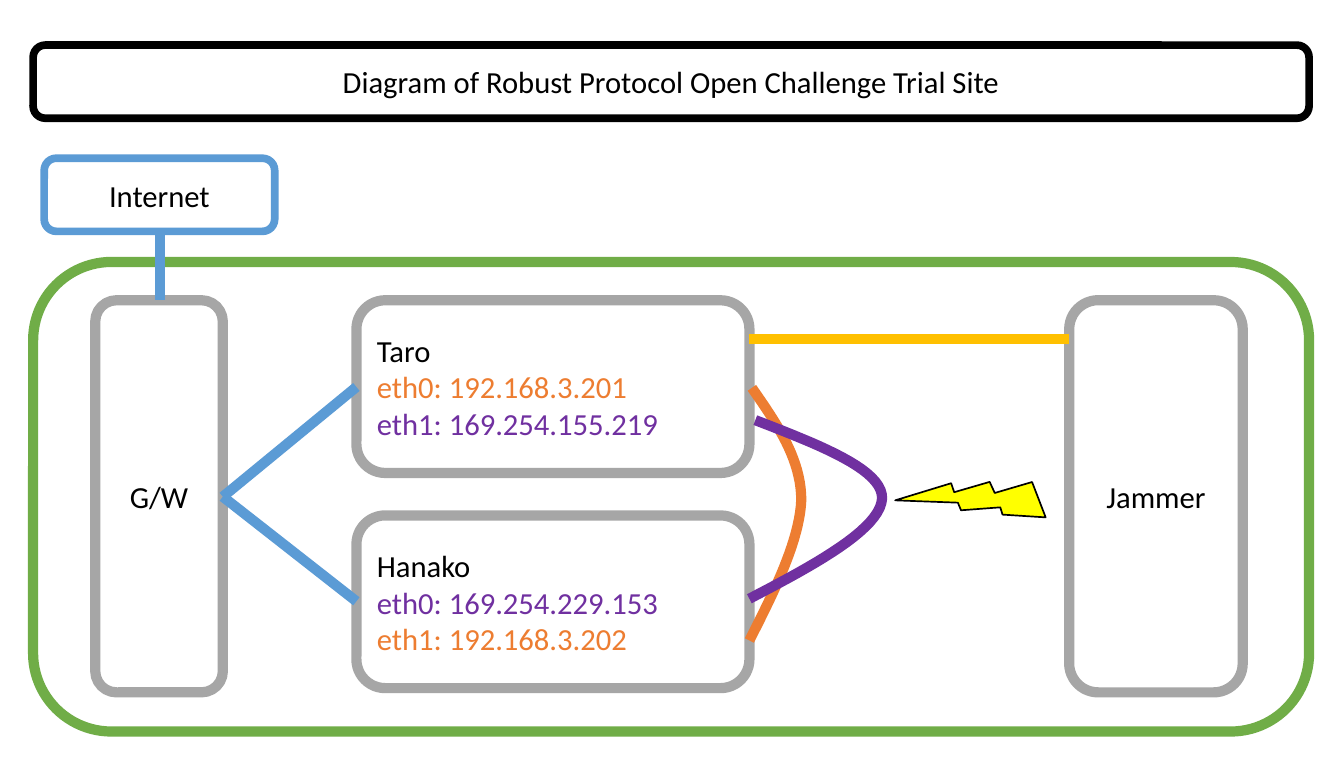
from lxml import etree
from pptx import Presentation
from pptx.dml.color import RGBColor
from pptx.enum.shapes import MSO_CONNECTOR, MSO_SHAPE
from pptx.enum.text import MSO_ANCHOR, PP_ALIGN
from pptx.oxml.ns import qn
from pptx.util import Pt

BLACK, WHITE, GRAY = "000000", "FFFFFF", "A6A6A6"
BLUE, GREEN, GOLD = "5B9BD5", "70AD47", "FFC000"
ORANGE, PURPLE, YELLOW = "ED7D31", "7030A0", "FFFF00"


def paint(shape, fill, line, width):
    """Set fill (None for no fill) and outline, and drop the shadow."""
    shape.shadow.inherit = False
    if fill:
        shape.fill.solid()
        shape.fill.fore_color.rgb = RGBColor.from_string(fill)
    else:
        shape.fill.background()
    shape.line.color.rgb = RGBColor.from_string(line)
    shape.line.width = Pt(width)


def bezier(a, b, c, d, steps=20):
    """Return points along a cubic curve, without its start."""
    curve = []
    for i in range(1, steps + 1):
        t = i / steps
        u = 1 - t
        curve.append(tuple(
            Pt(u**3 * p + 3 * u * u * t * q + 3 * u * t * t * r + t**3 * s)
            for p, q, r, s in zip(a, b, c, d)))
    return curve


deck = Presentation()
deck.slide_width, deck.slide_height = Pt(790), Pt(455)
slide = deck.slides.add_slide(deck.slide_layouts[6])
shapes = slide.shapes

# Boxes: place, fill, outline, width, alignment, text lines with colours
center, left = PP_ALIGN.CENTER, PP_ALIGN.LEFT
boxes = [
    ((19.5, 26.5, 750, 43), WHITE, BLACK, 4.5, center,
     [("Diagram of Robust Protocol Open Challenge Trial Site", BLACK)]),
    ((19.5, 154, 750, 276), None, GREEN, 6, center, []),
    ((56, 176.5, 75, 230.5), WHITE, GRAY, 6, center, [("G/W", BLACK)]),
    ((26, 93, 135.5, 43), WHITE, BLUE, 4.5, center, [("Internet", BLACK)]),
    ((209.5, 176.5, 231, 101.5), WHITE, GRAY, 6, left,
     [("Taro", BLACK), ("eth0: 192.168.3.201", ORANGE),
      ("eth1: 169.254.155.219", PURPLE)]),
    ((209.5, 303, 231, 101.5), WHITE, GRAY, 6, left,
     [("Hanako", BLACK), ("eth0: 169.254.229.153", PURPLE),
      ("eth1: 192.168.3.202", ORANGE)]),
    ((628.5, 176.5, 102, 230.5), WHITE, GRAY, 6, center, [("Jammer", BLACK)]),
]
for place, fill, line, width, align, lines in boxes:
    box = shapes.add_shape(MSO_SHAPE.ROUNDED_RECTANGLE, *map(Pt, place))
    paint(box, fill, line, width)
    frame = box.text_frame
    frame.word_wrap = True
    frame.vertical_anchor = MSO_ANCHOR.MIDDLE
    frame.text = "\n".join(text for text, color in lines)
    for para, (text, color) in zip(frame.paragraphs, lines):
        para.alignment = align
        font = para.runs[0].font
        font.name, font.size = "Calibri", Pt(18)
        font.color.rgb = RGBColor.from_string(color)

# Curved links between the two hosts
curves = [
    (ORANGE, [(442, 228), (456.5, 249), (471, 269.5), (471, 294),
              (470, 318), (455, 348), (440.5, 376.5)]),
    (PURPLE, [(444, 247), (481.5, 261.5), (519, 276), (518.5, 293),
              (517.5, 311), (479, 332), (440.5, 352)]),
]
for color, knots in curves:
    pen = shapes.build_freeform(*map(Pt, knots[0]))
    pen.add_line_segments(bezier(*knots[:4]) + bezier(*knots[3:]), close=False)
    paint(pen.convert_to_shape(), None, color, 6)

# Straight links: colour, start, end
links = [
    (BLUE, (94, 135.5), (94, 176.5)),
    (GOLD, (440.5, 199.5), (628.5, 199.5)),
    (BLUE, (131, 292), (209.5, 227.5)),
    (BLUE, (131, 292), (209.5, 353.5)),
]
for color, start, end in links:
    link = shapes.add_connector(MSO_CONNECTOR.STRAIGHT, *map(Pt, start + end))
    link.line.color.rgb = RGBColor.from_string(color)
    link.line.width = Pt(6)
    etree.SubElement(link._element.spPr, qn("a:effectLst"))

bolt = shapes.add_shape(MSO_SHAPE.LIGHTNING_BOLT,
                        Pt(553), Pt(249), Pt(41), Pt(85.5))
bolt.rotation = 112.7
paint(bolt, YELLOW, BLACK, 1)

deck.save("out.pptx")
